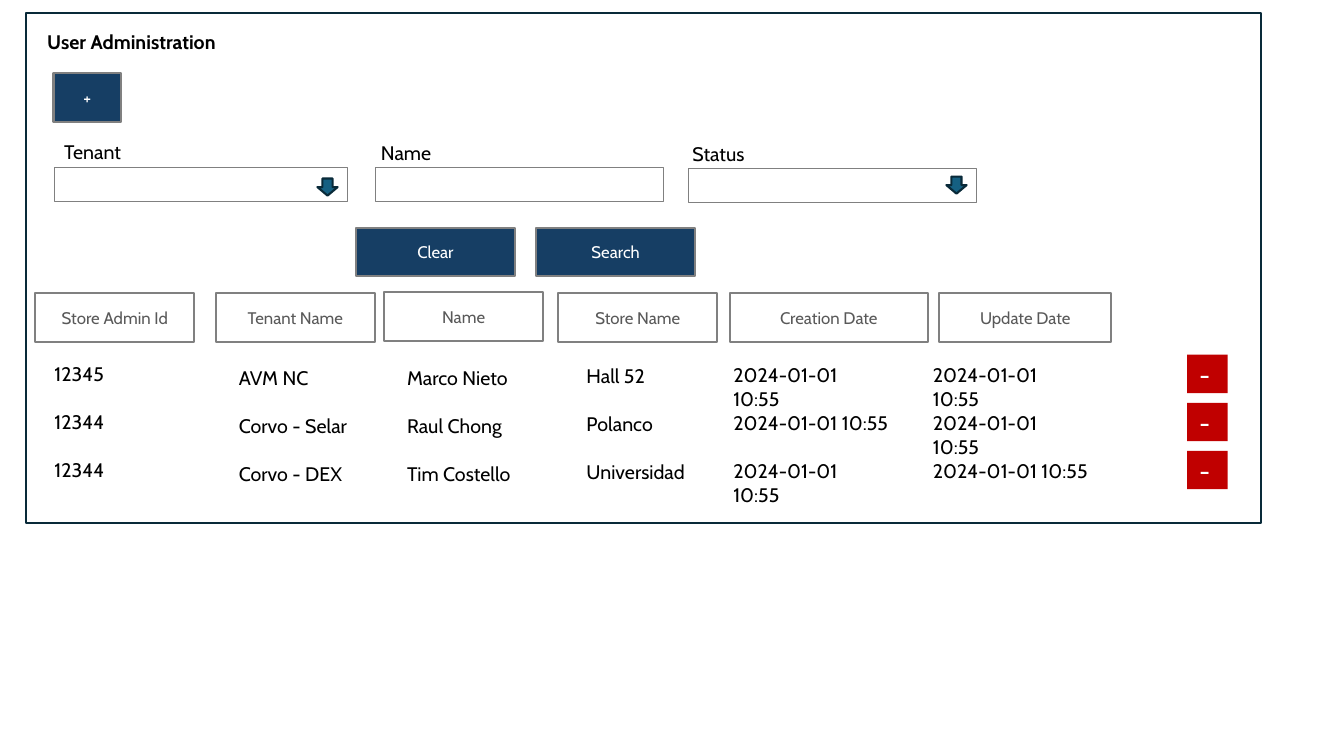
from dataclasses import dataclass

from pptx import Presentation
from pptx.dml.color import RGBColor
from pptx.enum.shapes import MSO_SHAPE as SHAPE
from pptx.enum.text import MSO_ANCHOR as ANCHOR, MSO_AUTO_SIZE as AUTO_SIZE, PP_ALIGN as ALIGN
from pptx.util import Cm, Pt


@dataclass(frozen=True)
class Theme:
    font: str = "Cabin"
    white: str = "FFFFFF"
    black: str = "000000"
    ink: str = "092A39"
    navy: str = "163E64"
    teal: str = "156082"
    red: str = "C00000"
    border: str = "808080"
    muted: str = "595959"
    body: int = 14
    button: int = 12
    symbol: int = 18
    thin: float = 0.75
    thick: float = 1.5


THEME = Theme()
STAMP = "2024-01-01 10:55"
LINE_H = 0.86
BUTTON_H = 1.22
ROW_PITCH = 1.21

FIELDS = [
    ("Tenant", 1.37, 3.4, 1.37, 4.22, 7.39),
    ("Name", 9.35, 3.43, 9.47, 4.22, 7.26),
    ("Status", 17.2, 3.45, 17.35, 4.24, 7.26),
]
ARROWS = [(8, 4.5), (23.85, 4.45)]
ACTIONS = [("+", 1.35, 1.85, 1.7), ("Clear", 8.97, 5.74, 4.01), ("Search", 13.51, 5.74, 4.01)]
HEADERS = [
    ("Store Admin Id", 0.89, 7.39, 4.01),
    ("Tenant Name", 5.44, 7.39, 4.01),
    ("Name", 9.68, 7.37, 4.01),
    ("Store Name", 14.07, 7.39, 4.01),
    ("Creation Date", 18.39, 7.39, 5),
    ("Update Date", 23.67, 7.39, 4.34),
]
COLUMNS = [
    (1.12, 8.99, (3.1, 3.1, 3.1), ("12345", "12344", "12344")),
    (5.77, 9.1, (3.66, 5.33, 5.33), ("AVM NC", "Corvo - Selar", "Corvo - DEX")),
    (10.01, 9.09, (3.66, 5.33, 5.33), ("Marco Nieto", "Raul Chong", "Tim Costello")),
    (14.53, 9.04, (3.4, 3.4, 3.4), ("Hall 52", "Polanco", "Universidad")),
    (18.23, 9.03, (4.29, 4.67, 4.39), (STAMP,) * 3),
    (23.26, 9.03, (4.34, 4.34, 4.72), (STAMP,) * 3),
]


def format_runs(p, size, color, bold=False):
    for r in p.runs:
        r.font.name = THEME.font
        r.font.size = Pt(size)
        r.font.bold = bold
        r.font.color.rgb = RGBColor.from_string(color)


def add_label(slide, text, x, y, w, bold=False):
    sp = slide.shapes.add_textbox(Cm(x), Cm(y), Cm(w), Cm(LINE_H))
    tf = sp.text_frame
    tf.word_wrap = True
    tf.auto_size = AUTO_SIZE.SHAPE_TO_FIT_TEXT
    tf.text = text
    format_runs(tf.paragraphs[0], THEME.body, THEME.black, bold)


def add_box(slide, x, y, w, h, fill=None, line=None, weight=THEME.thick, kind=SHAPE.RECTANGLE):
    sp = slide.shapes.add_shape(kind, Cm(x), Cm(y), Cm(w), Cm(h))
    sp.shadow.inherit = False
    if fill:
        sp.fill.solid()
        sp.fill.fore_color.rgb = RGBColor.from_string(fill)
    else:
        sp.fill.background()
    if line:
        sp.line.color.rgb = RGBColor.from_string(line)
        sp.line.width = Pt(weight)
    else:
        sp.line.fill.background()
    return sp


def add_button(slide, text, x, y, w, h, fill, color, line=THEME.border, size=THEME.button):
    sp = add_box(slide, x, y, w, h, fill, line)
    tf = sp.text_frame
    tf.vertical_anchor = ANCHOR.MIDDLE
    tf.text = text
    p = tf.paragraphs[0]
    p.alignment = ALIGN.CENTER
    format_runs(p, size, color)


def add_filters(slide):
    for text, label_x, label_y, x, y, w in FIELDS:
        add_label(slide, text, label_x, label_y, 4.19)
        add_box(slide, x, y, w, LINE_H, line=THEME.border, weight=THEME.thin)
    for x, y in ARROWS:
        add_box(slide, x, y, 0.51, 0.43, THEME.teal, THEME.ink, kind=SHAPE.DOWN_ARROW)
    for text, x, y, w in ACTIONS:
        add_button(slide, text, x, y, w, BUTTON_H, THEME.navy, THEME.white)


def add_user_list(slide):
    for text, x, y, w in HEADERS:
        add_button(slide, text, x, y, w, BUTTON_H, THEME.white, THEME.muted)
    for x, y, widths, texts in COLUMNS:
        for row, (text, w) in enumerate(zip(texts, widths)):
            add_label(slide, text, x, y + row * ROW_PITCH, w)
    for row in range(3):
        add_button(slide, "- ", 29.92, 8.94 + row * ROW_PITCH, 1.02, 0.97,
                   THEME.red, THEME.white, line=None, size=THEME.symbol)


def main():
    prs = Presentation()
    prs.slide_width, prs.slide_height = Cm(33.87), Cm(19.05)
    slide = prs.slides.add_slide(prs.slide_layouts[6])
    add_box(slide, 0.66, 0.33, 31.12, 12.85, THEME.white, THEME.ink)
    add_label(slide, "User Administration", 0.94, 0.64, 9.47, bold=True)
    add_filters(slide)
    add_user_list(slide)
    prs.save("out.pptx")


if __name__ == "__main__":
    main()
